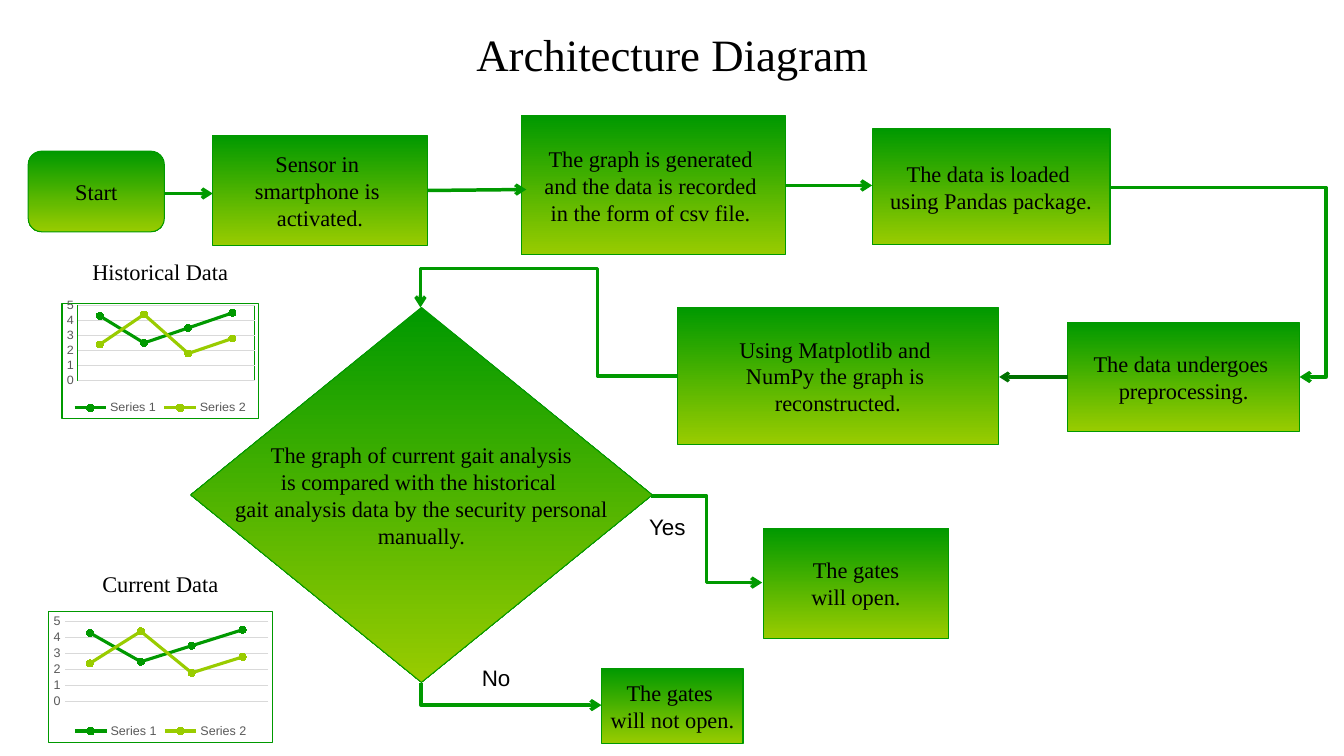
from lxml import etree
from pptx import Presentation, util as u
from pptx.chart import data as chart_data
from pptx.dml.color import RGBColor
from pptx.enum import chart as ch, shapes, text
from pptx.oxml import ns, parse_xml

PX = 9144  # 100 px to the inch
THEME = {
    "green": RGBColor.from_string("009900"), "lime": RGBColor.from_string("99CC00"),
    "dark": RGBColor.from_string("007100"), "ink": RGBColor.from_string("000000"),
    "label": RGBColor.from_string("595959"), "grid": RGBColor.from_string("D9D9D9"),
    "serif": "Times New Roman", "sans": "Arial",
    "title": u.Pt(32), "body": u.Pt(16), "small": u.Pt(9),
    "hairline": u.Pt(0.75), "series": u.Pt(2.25), "arrow": u.Pt(2.5),
}


def write(shape, lines, size="body", font="serif", align="CENTER", anchor="MIDDLE", wrap=False):
    frame = shape.text_frame
    frame.word_wrap = wrap
    frame.vertical_anchor = text.MSO_ANCHOR[anchor]
    for i, line in enumerate(lines):
        para = frame.paragraphs[0] if i == 0 else frame.add_paragraph()
        para.alignment = text.PP_ALIGN[align]
        span = para.add_run()
        span.text = line
        span.font.color.rgb = THEME["ink"]
        for name, value in {"size": THEME[size], "name": THEME[font]}.items():
            setattr(span.font, name, value)


def add_arrow(kind, ends, color="green", width="arrow"):
    arrow = page.shapes.add_connector(kind, *(v * PX for v in ends))
    arrow.line.color.rgb = THEME[color]
    arrow.line.width = THEME[width]
    properties = arrow.element.spPr
    etree.SubElement(arrow.line._get_or_add_ln(), ns.qn("a:tailEnd"), type="arrow")
    etree.SubElement(properties, ns.qn("a:effectLst"))
    return properties


deck = Presentation()
deck.slide_width, deck.slide_height = 1333 * PX, 750 * PX
page = deck.slides.add_slide(deck.slide_layouts[6])

# Flowchart steps
STEPS = [
    ("FLOWCHART_DECISION", (189, 305, 458, 372),
     ["The graph of current gait analysis", "is compared with the historical ",
      "gait analysis data by the security personal", "manually."]),
    ("FLOWCHART_ALTERNATE_PROCESS", (28, 150, 135, 80), ["Start"]),
    ("RECTANGLE", (211, 134, 213, 110), ["Sensor in ", "smartphone is ", "activated."]),
    ("RECTANGLE", (517, 115, 262, 138),
     ["The graph is generated ", "and the data is recorded ", "in the form of csv file. "]),
    ("RECTANGLE", (865, 128, 236, 115), ["The data is loaded ", "using Pandas package."]),
    ("RECTANGLE", (1059, 320, 230, 108), ["The data undergoes ", "preprocessing."]),
    ("RECTANGLE", (672, 305, 318, 136),
     ["Using Matplotlib and ", "NumPy the graph is ", "reconstructed."]),
    ("RECTANGLE", (757, 524, 184, 109), ["The gates", "will open."]),
    ("RECTANGLE", (597, 663, 140, 75), ["The gates ", "will not open."]),
]
for kind, place, lines in STEPS:
    step = page.shapes.add_shape(shapes.MSO_SHAPE[kind], *(v * PX for v in place))
    step.shadow.inherit = False
    step.fill.gradient()
    step.fill.gradient_angle = 270
    for stop, color, position in zip(step.fill.gradient_stops, ("green", "lime"), (0, 1)):
        stop.color.rgb = THEME[color]
        stop.position = position
    step.line.color.rgb = THEME["green"]
    step.line.width = THEME["hairline"]
    write(step, lines)

# Straight arrows
for ends in [(163, 192, 211, 192), (424, 189, 522, 188), (779, 184, 865, 184)]:
    add_arrow(shapes.MSO_CONNECTOR.STRAIGHT, ends)
add_arrow(shapes.MSO_CONNECTOR.STRAIGHT, (1059, 374, 991, 374), "dark", "series")

# Bent arrows: frame, turn in degrees, flip, preset and bend positions
BENDS = [
    ((1100, 186, 189, 188), 0, False, "bentConnector3", [113800]),
    ((496, 599, 22, 179), 90, True, "bentConnector2", []),
    ((417, 305, 255, 68), 180, False, "bentConnector4", [31100, 156700]),
    ((646, 492, 110, 86), 0, False, "bentConnector3", [50000]),
]
for (left, top, width, height), turn, flip, preset, bends in BENDS:
    properties = add_arrow(shapes.MSO_CONNECTOR.ELBOW, (left, top, left + width, top + height))
    frame = properties.find(ns.qn("a:xfrm"))
    frame.set("rot", str(turn * 60000))
    if flip:
        frame.set("flipV", "1")
    geometry = properties.find(ns.qn("a:prstGeom"))
    geometry.set("prst", preset)
    guides = geometry.find(ns.qn("a:avLst"))
    if guides is None:
        guides = etree.SubElement(geometry, ns.qn("a:avLst"))
    for i, bend in enumerate(bends, 1):
        etree.SubElement(guides, ns.qn("a:gd"), name=f"adj{i}", fmla=f"val {bend}")

# Title and labels
LABELS = [
    ("Architecture Diagram", (67, 21, 1200, 64), {"size": "title", "wrap": True}),
    ("Historical Data", (81, 251, 156, 37), {"anchor": "TOP", "wrap": True}),
    ("Current Data", (81, 561, 156, 37), {"anchor": "TOP", "wrap": True}),
    ("No", (468, 654, 55, 35), {"font": "sans", "align": "LEFT", "anchor": "TOP", "wrap": True}),
    ("Yes", (634, 504, 60, 37), {"font": "sans", "align": "LEFT", "anchor": "TOP", "wrap": True}),
]
for words, place, look in LABELS:
    box = page.shapes.add_textbox(*(v * PX for v in place))
    write(box, [words], **look)

# Gait charts: frame, plot area as shares of the frame, plot border
SERIES = [("Series 1", (4.3, 2.5, 3.5, 4.5), "green"), ("Series 2", (2.4, 4.4, 1.8, 2.8), "lime")]
BORDER = (f'<c:spPr {ns.nsdecls("c", "a")}><a:noFill/><a:ln w="{THEME["hairline"]}"><a:solidFill>'
          f'<a:srgbClr val="{THEME["green"]}"/></a:solidFill></a:ln></c:spPr>')
CHARTS = [
    ((61, 296, 196, 120), (0.08, 0.02, 0.9, 0.65), True),
    ((48, 606, 223, 131), (0.07, 0.08, 0.91, 0.61), False),
]
for place, plot_place, framed in CHARTS:
    values = chart_data.CategoryChartData()
    values.categories = ["1", "2", "3", "4"]
    for name, points, color in SERIES:
        values.add_series(name, points)
    chart = page.shapes.add_chart(
        ch.XL_CHART_TYPE.LINE_MARKERS, *(v * PX for v in place), values).chart
    chart.has_title = False
    chart.has_legend = True
    chart.legend.position = ch.XL_LEGEND_POSITION.BOTTOM
    chart.legend.include_in_layout = False
    chart.category_axis.visible = False
    axis = chart.value_axis
    for name, value in {"minimum_scale": 0, "maximum_scale": 5, "major_unit": 1,
                        "major_tick_mark": ch.XL_TICK_MARK.NONE,
                        "minor_tick_mark": ch.XL_TICK_MARK.NONE}.items():
        setattr(axis, name, value)
    axis.format.line.fill.background()
    axis.major_gridlines.format.line.color.rgb = THEME["grid"]
    axis.major_gridlines.format.line.width = THEME["hairline"]
    for font in (chart.font, chart.legend.font, axis.tick_labels.font):
        font.size, font.name = THEME["small"], THEME["sans"]
        font.color.rgb = THEME["label"]
    chart.plots[0].vary_by_categories = False
    for series, (name, points, color) in zip(chart.plots[0].series, SERIES):
        series.smooth = False
        series.format.line.color.rgb = THEME[color]
        series.format.line.width = THEME["series"]
        series.marker.style = ch.XL_MARKER_STYLE.CIRCLE
        series.marker.size = 5
        series.marker.format.fill.solid()
        series.marker.format.fill.fore_color.rgb = THEME[color]
        series.marker.format.line.color.rgb = THEME[color]

    # Plot position and borders
    space = chart.element
    area = space.chart.plotArea
    for old in area.findall(ns.qn("c:layout")):
        area.remove(old)
    layout = etree.Element(ns.qn("c:layout"))
    manual = etree.SubElement(layout, ns.qn("c:manualLayout"))
    settings = [("layoutTarget", "inner"), ("xMode", "edge"), ("yMode", "edge")]
    for tag, value in settings + list(zip("xywh", plot_place)):
        etree.SubElement(manual, ns.qn(f"c:{tag}"), val=str(value))
    area.insert(0, layout)
    if framed:
        area.append(parse_xml(BORDER))
    space.chart.addnext(parse_xml(BORDER))

deck.save("out.pptx")
